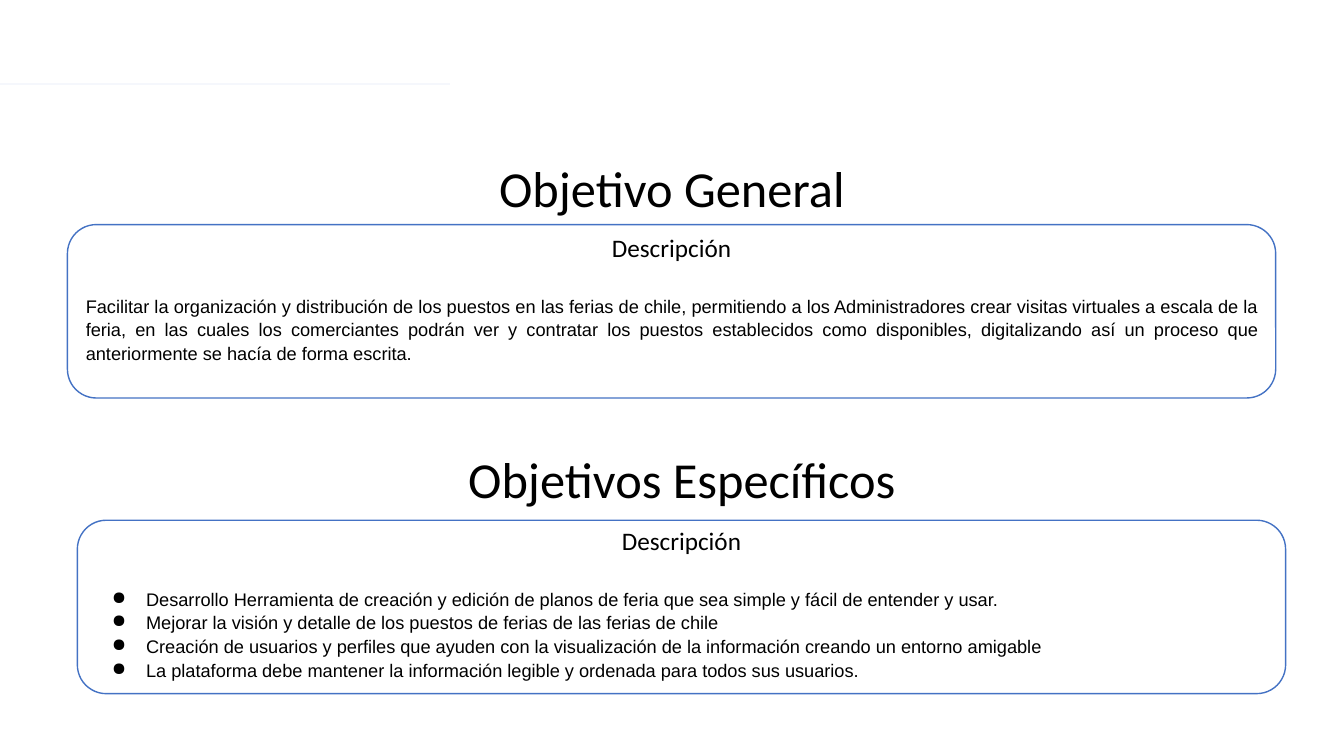
from dataclasses import dataclass

from lxml.etree import SubElement
from pptx import Presentation
from pptx.dml.color import RGBColor
from pptx.enum.shapes import MSO_CONNECTOR, MSO_SHAPE
from pptx.enum.text import MSO_ANCHOR, PP_ALIGN
from pptx.oxml.ns import qn
from pptx.util import Cm, Pt


@dataclass(frozen=True)
class Theme:
    """Colours, fonts and type sizes of the slide."""
    ink: str = "000000"
    paper: str = "FFFFFF"
    outline: str = "4472C4"
    rule: str = "F5F7FC"
    heading_font: str = "Calibri"
    body_font: str = "Arial"
    title_size: int = 36
    label_size: int = 18
    body_size: int = 13


THEME = Theme()
SLIDE_WIDTH, SLIDE_HEIGHT = 33.87, 19.05
PANEL_INSET, PANEL_WIDTH, PANEL_HEIGHT = 1.7, 30.45, 4.37

GENERAL_GOAL = (
    "Facilitar la organización y distribución de los puestos en las ferias de chile, "
    "permitiendo a los Administradores crear visitas virtuales a escala de la feria, "
    "en las cuales los comerciantes podrán ver y contratar los puestos establecidos "
    "como disponibles, digitalizando así un proceso que anteriormente se hacía de "
    "forma escrita."
)
SPECIFIC_GOALS = [
    "Desarrollo Herramienta de creación y edición de planos de feria que sea simple y fácil de entender y usar.",
    "Mejorar la visión y detalle de los puestos de ferias de las ferias de chile",
    "Creación de usuarios y perfiles que ayuden con la visualización de la información creando un entorno amigable",
    "La plataforma debe mantener la información legible y ordenada para todos sus usuarios.",
]


def write(frame, text, *, size, font=THEME.heading_font, align=PP_ALIGN.CENTER,
          spacing=None, before=None, bullet=False):
    """Write one formatted paragraph at the end of the frame."""
    paragraph = frame.paragraphs[0] if not frame.text else frame.add_paragraph()
    if bullet:
        properties = paragraph._p.get_or_add_pPr()
        properties.set("marL", str(Cm(1.27)))
        properties.set("indent", str(-Cm(0.86)))
        colour = SubElement(properties, qn("a:buClr"))
        SubElement(colour, qn("a:srgbClr"), val=THEME.ink)
        SubElement(properties, qn("a:buChar"), char="●")
    paragraph.alignment = align
    paragraph.line_spacing = spacing
    paragraph.space_before = before
    run = paragraph.add_run()
    run.text = text
    run.font.name = font
    run.font.size = Pt(size)
    run.font.color.rgb = RGBColor.from_string(THEME.ink)


def add_rule(slide, left, top, width):
    """Draw the pale rule at the head of the slide."""
    rule = slide.shapes.add_connector(
        MSO_CONNECTOR.STRAIGHT, Cm(left), Cm(top), Cm(left + width), Cm(top))
    rule.line.color.rgb = RGBColor.from_string(THEME.rule)
    rule.line.width = Pt(1.25)
    SubElement(rule._element.spPr, qn("a:effectLst"))


def add_panel(slide, left, top, width, height, goals, bottom_inset, bullet):
    """Draw a rounded panel with its label and goals."""
    panel = slide.shapes.add_shape(
        MSO_SHAPE.ROUNDED_RECTANGLE, Cm(left), Cm(top), Cm(width), Cm(height))
    panel.shadow.inherit = False
    panel.fill.solid()
    panel.fill.fore_color.rgb = RGBColor.from_string(THEME.paper)
    panel.line.color.rgb = RGBColor.from_string(THEME.outline)
    panel.line.width = Pt(1)
    frame = panel.text_frame
    frame.word_wrap = True
    frame.vertical_anchor = MSO_ANCHOR.MIDDLE
    frame.margin_top = Cm(0)
    frame.margin_bottom = Cm(bottom_inset)
    write(frame, "Descripción", size=THEME.label_size)
    for index, goal in enumerate(goals):
        write(frame, goal, size=THEME.body_size, font=THEME.body_font,
              align=PP_ALIGN.JUSTIFY, spacing=1.08,
              before=Pt(0 if index else 22), bullet=bullet)


def add_objective(slide, left, top, width, height, title, goals, bottom_inset, bullet=False):
    """Place a centred title above a panel at the foot of the given box."""
    heading = slide.shapes.add_textbox(Cm(left), Cm(top), Cm(width), Cm(1.8))
    heading.text_frame.word_wrap = True
    write(heading.text_frame, title, size=THEME.title_size)
    add_panel(slide, left + PANEL_INSET, top + height - PANEL_HEIGHT,
              PANEL_WIDTH, PANEL_HEIGHT, goals, bottom_inset, bullet)


def main():
    """Build and save the objectives slide."""
    deck = Presentation()
    deck.slide_width, deck.slide_height = Cm(SLIDE_WIDTH), Cm(SLIDE_HEIGHT)
    slide = deck.slides.add_slide(deck.slide_layouts[6])
    add_rule(slide, 0, 2.11, 11.35)
    add_objective(slide, 0, 3.84, SLIDE_WIDTH, 6.19,
                  "Objetivo General", [GENERAL_GOAL], bottom_inset=0.66)
    add_objective(slide, 0.25, 11.18, SLIDE_WIDTH, 6.3,
                  "Objetivos Específicos", SPECIFIC_GOALS, bottom_inset=0.2, bullet=True)
    deck.save("out.pptx")


if __name__ == "__main__":
    main()
